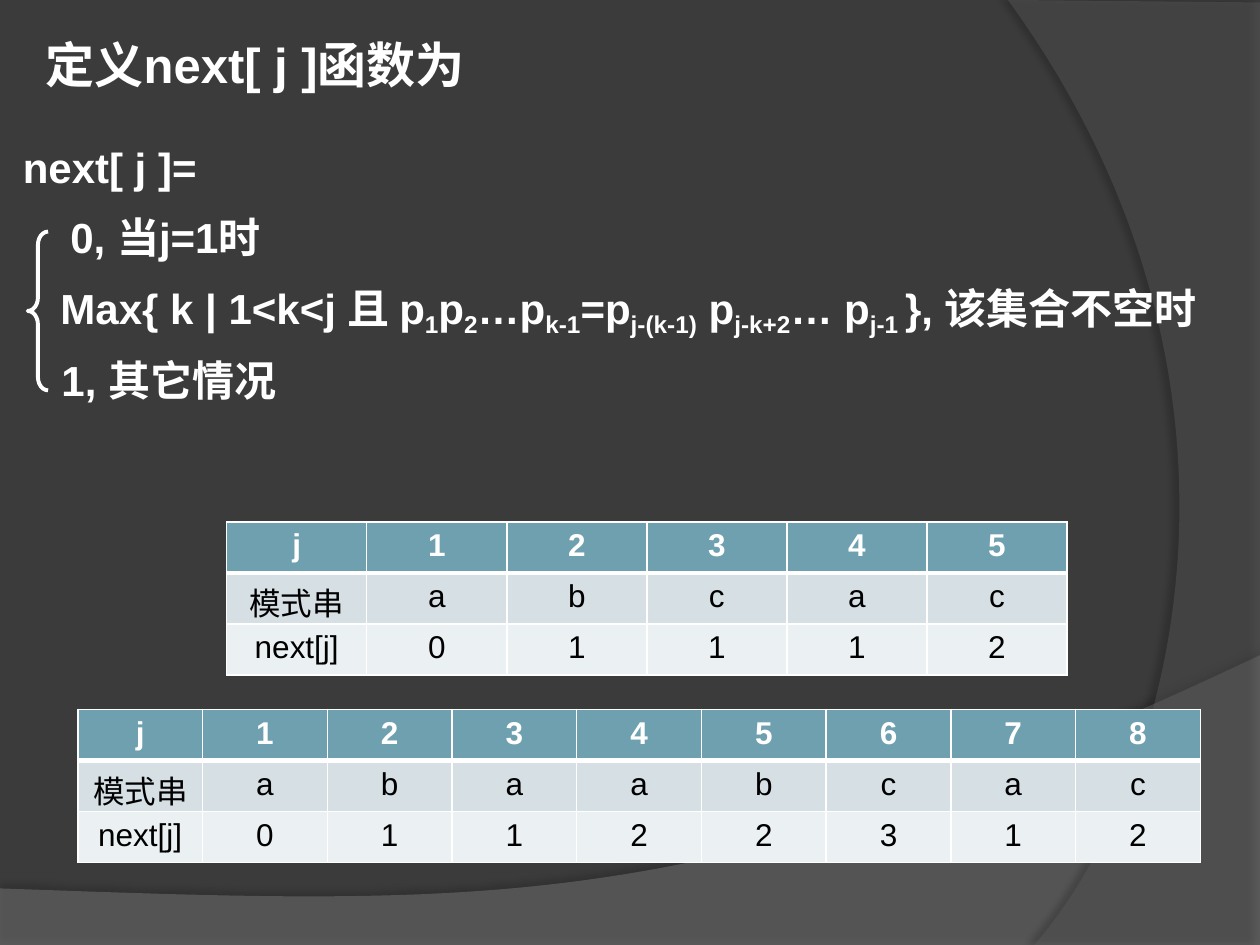
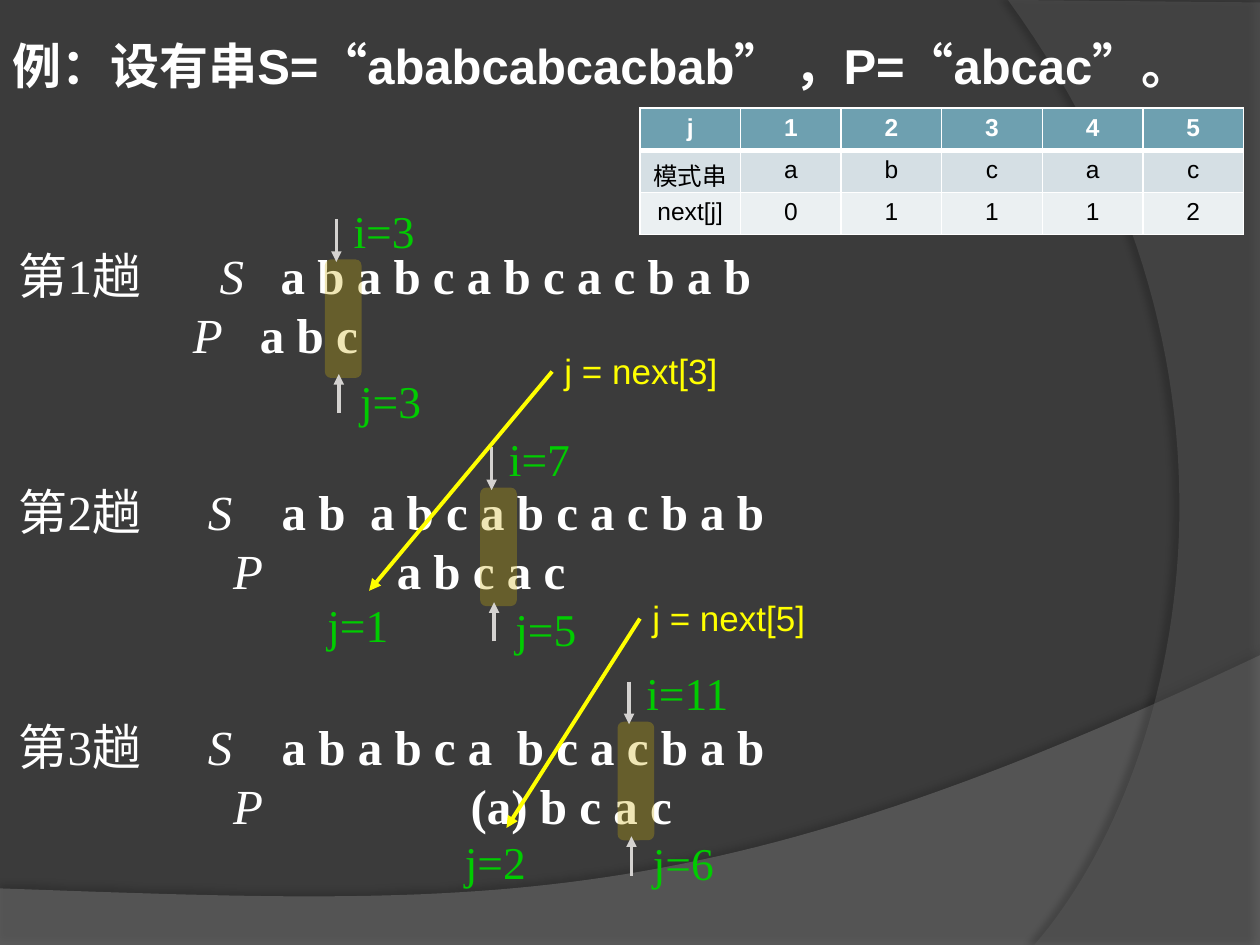
from dataclasses import dataclass

from lxml.etree import SubElement
from pptx import Presentation
from pptx.dml.color import RGBColor
from pptx.enum.lang import MSO_LANGUAGE_ID
from pptx.enum.shapes import MSO_CONNECTOR, MSO_SHAPE
from pptx.enum.text import MSO_ANCHOR, MSO_AUTO_SIZE, PP_ALIGN
from pptx.oxml.ns import qn
from pptx.util import Cm, Pt


@dataclass(frozen=True)
class Theme:
    background: str = "3B3B3B"
    wave: str = "7F7F7F"
    sweep: str = "5E5E5E"
    text: str = "FFFFFF"
    cell_text: str = "000000"
    rows: tuple = ("6EA0B0", "D5DFE4", "EBF0F2")
    highlight: str = "CCAF0A"
    pointer: str = "D4D2D0"
    index: str = "00CC00"
    jump: str = "FFFF00"
    sans: str = "Arial"
    serif: str = "Times New Roman"
    title_size: int = 28
    formula_size: int = 24
    index_size: int = 26
    jump_size: int = 20


theme = Theme()


def write(paragraph, text, size, color=theme.text, font=theme.sans,
          bold=False, italic=False, align=PP_ALIGN.LEFT):
    """Add text to a paragraph; parts between underscores are subscripts."""
    paragraph.alignment = align
    for number, part in enumerate(text.split("_")):
        run = paragraph.add_run()
        run.text = part
        run.font.size, run.font.name = Pt(size), font
        run.font.bold, run.font.italic = bold, italic
        run.font.color.rgb = RGBColor.from_string(color)
        run.font.language_id = MSO_LANGUAGE_ID.SIMPLIFIED_CHINESE
        if number % 2:
            run.font._element.set("baseline", "-20000")


def paint(shape, color, opacity):
    """Give a shape a translucent fill with no line and no shadow."""
    shape.fill.solid()
    shape.fill.fore_color.rgb = RGBColor.from_string(color)
    shape.line.fill.background()
    shape.shadow.inherit = False
    fill_color = shape.element.spPr.find(".//" + qn("a:srgbClr"))
    SubElement(fill_color, qn("a:alpha"), val=str(opacity * 1000))


prs = Presentation()
prs.slide_width, prs.slide_height = Cm(25.4), Cm(19.05)
layout = prs.slide_layouts[5]
definition = prs.slides.add_slide(layout)
example = prs.slides.add_slide(layout)

# Shared backdrop: a wave and a sweep, kept on the layout
master_fill = prs.slide_master.background.fill
master_fill.solid()
master_fill.fore_color.rgb = RGBColor.from_string(theme.background)
backdrop = [
    ([(0, 19.05), (25.4, 19.05)],
     [(25.4, 13.21), (14.2, 18.52), (9.93, 18.26), (0, 17.91)],
     theme.wave, 45, 35, 3.5, 270),
    ([(25.4, 0.05), (25.4, 19.05)],
     [(20.85, 19.05), (23.75, 15.72), (25.86, 7.62), (20.32, 0)],
     theme.sweep, 40, 45, 4, 180),
]
for place, (corners, curve, color, opacity, shade, distance, angle) in enumerate(backdrop):
    outline = list(corners)
    for step in range(61):
        t = step / 60
        weights = ((1 - t) ** 3, 3 * t * (1 - t) ** 2, 3 * t ** 2 * (1 - t), t ** 3)
        outline.append(tuple(sum(w * p[axis] for w, p in zip(weights, curve))
                             for axis in (0, 1)))
    points = [(Cm(x), Cm(y)) for x, y in outline]
    builder = definition.shapes.build_freeform(*points[0])
    builder.add_line_segments(points[1:], close=True)
    band = builder.convert_to_shape()
    paint(band, color, opacity)
    shadow = SubElement(band.element.spPr.find(qn("a:effectLst")), qn("a:outerShdw"),
                        blurRad=str(Pt(4)), dist=str(Pt(distance)),
                        dir=str(angle * 60000), algn="ctr", rotWithShape="0")
    shadow_color = SubElement(shadow, qn("a:srgbClr"), val="000000")
    SubElement(shadow_color, qn("a:alpha"), val=str(shade * 1000))
    layout.shapes.element.insert(2 + place, band.element)

# Titles
titles = [
    (definition, "定义next[ j ]函数为", 0.67, 0.58, 22, 1.4, MSO_ANCHOR.MIDDLE),
    (example, "例：设有串S=“ababcabcacbab” ，P=“abcac”。",
     0, 0.58, 25, 1.45, MSO_ANCHOR.TOP),
]
for slide, text, left, top, width, height, anchor in titles:
    title = slide.shapes.title
    title.left, title.top, title.width, title.height = map(Cm, (left, top, width, height))
    frame = title.text_frame
    frame.word_wrap, frame.auto_size = True, MSO_AUTO_SIZE.NONE
    frame.vertical_anchor = anchor
    write(frame.paragraphs[0], text, theme.title_size, bold=True)

# Definition: the brace and its cases
brace = definition.shapes.add_shape(MSO_SHAPE.LEFT_BRACE, Cm(0.56), Cm(4.67), Cm(0.41), Cm(3.2))
brace.adjustments[0], brace.adjustments[1] = 0.66, 0.5
brace.fill.background()
brace.line.color.rgb = RGBColor.from_string(theme.text)
brace.line.width = Pt(2.25)
brace.shadow.inherit = False

cases = [
    ("next[ j ]=", 0.46, 2.77),
    ("0, 当j=1时", 1.42, 4.17),
    ("Max{ k | 1<k<j 且 p_1_p_2_…p_k-1_=p_j-(k-1)_ p_j-k+2_… p_j-1 _}, 该集合不空时",
     1.22, 5.66),
    ("1, 其它情况", 1.24, 7.06),
]
for text, left, top in cases:
    frame = definition.shapes.add_textbox(
        Cm(left), Cm(top), Cm(25.3 - left), Cm(1.19)).text_frame
    frame.word_wrap = True
    frame.vertical_anchor = MSO_ANCHOR.MIDDLE
    frame.margin_left = frame.margin_right = 0
    write(frame.paragraphs[0], text, theme.formula_size, bold=True)

# Example: matching passes, each row a list of (tab stop, text, style)
plain, italic, bold = {}, {"italic": True}, {"bold": True}
passes = [
    ([(0, "第1趟", plain), (4.05, "S", italic), (5.28, "a b a b c a b c a c b a b", bold)],
     [(3.51, "P", italic), (4.86, "a b c", bold)]),
    ([(0, "第2趟", plain), (3.81, "S", italic), (5.3, "a b", bold),
      (7.08, "a b c a b c a c b a b", bold)],
     [(4.32, "P", italic), (7.62, "a b c a c", bold)]),
    ([(0, "第3趟", plain), (3.81, "S", italic), (5.3, "a b a b c a", bold),
      (10.04, "b c a c b a b", bold)],
     [(4.32, "P", italic), (9.11, "(a) b c a c", bold)]),
]
line_height = 33.65
trace = example.shapes.add_textbox(Cm(0), Cm(4.83), Cm(24.61), Cm(13.82)).text_frame
trace.word_wrap = True
trace.margin_left = Cm(0.38)
for pass_number, rows in enumerate(passes):
    for row_number, row in enumerate(rows):
        first = pass_number == row_number == 0
        paragraph = trace.paragraphs[0] if first else trace.add_paragraph()
        paragraph.line_spacing = Pt(line_height)
        opens_pass = pass_number and not row_number
        paragraph.space_before = Pt(2 * line_height if opens_pass else 0)
        tabs = SubElement(paragraph._p.get_or_add_pPr(), qn("a:tabLst"))
        for stop, text, style in row:
            if stop:
                SubElement(tabs, qn("a:tab"), pos=str(Cm(stop)), algn="l")
                text = "\t" + text
            write(paragraph, text, theme.title_size, font=theme.serif, **style)

# Example: compared characters with their i and j pointers
index_style = {"size": theme.index_size, "color": theme.index, "font": theme.serif}
jump_style = {"size": theme.jump_size, "color": theme.jump}
labels = [
    (example, "j = next[3]", 11.13, 6.93, 4.78, jump_style),
    (example, "j=1", 6.35, 11.91, 2.16, index_style),
    (example, "j = next[5]", 12.9, 11.91, 4.78, jump_style),
    (example, "j=2", 9.12, 16.69, 2.16, index_style),
]
arrows = []
for i, j, left, top in [(3, 3, 6.55, 5.23), (7, 5, 9.68, 9.83), (11, 6, 12.45, 14.55)]:
    comparison = example.shapes.add_group_shape()
    highlight = comparison.shapes.add_shape(
        MSO_SHAPE.ROUNDED_RECTANGLE, Cm(left), Cm(top), Cm(0.74), Cm(2.39))
    paint(highlight, theme.highlight, 30)
    labels += [
        (comparison, f"i={i}", left + 0.33, top - 1.27, 2.24, index_style),
        (comparison, f"j={j}", left + 0.46, top + 2.16, 2.16, index_style),
    ]
    arrows += [
        (comparison, left + 0.23, top - 0.81, left + 0.23, top + 0.05, theme.pointer, 2),
        (comparison, left + 0.28, top + 3.1, left + 0.28, top + 2.31, theme.pointer, 2),
    ]
arrows += [
    (example, 12.9, 12.47, 10.21, 16.69, theme.jump, 2.25),
    (example, 11.13, 7.49, 7.44, 11.91, theme.jump, 2.25),
]
for parent, text, left, top, width, style in labels:
    frame = parent.shapes.add_textbox(Cm(left), Cm(top), Cm(width), Cm(1.35)).text_frame
    frame.word_wrap = True
    write(frame.paragraphs[0], text, **style)
for parent, x1, y1, x2, y2, color, weight in arrows:
    arrow = parent.shapes.add_connector(
        MSO_CONNECTOR.STRAIGHT, Cm(x1), Cm(y1), Cm(x2), Cm(y2))
    arrow.line.color.rgb = RGBColor.from_string(color)
    arrow.line.width = Pt(weight)
    SubElement(arrow.line._get_or_add_ln(), qn("a:tailEnd"), type="triangle")
    SubElement(arrow.element.spPr, qn("a:effectLst"))

# Tables of next[j] for each pattern string
next_tables = [
    (definition, "abcac", "01112", 4.57, 10.52, 16.94, 1.03, 18),
    (definition, "abaabcac", "01122312", 1.57, 14.3, 22.63, 1.03, 18),
    (example, "abcac", "01112", 12.9, 2.18, 12.17, 0.84, 14),
]
for slide, pattern, values, left, top, width, row_height, size in next_tables:
    grid = [["j", *map(str, range(1, len(pattern) + 1))],
            ["模式串", *pattern],
            ["next[j]", *values]]
    next_table = slide.shapes.add_table(
        3, len(grid[0]), Cm(left), Cm(top), Cm(width), Cm(3 * row_height)).table
    for r, row in enumerate(grid):
        for c, text in enumerate(row):
            cell = next_table.cell(r, c)
            cell.fill.solid()
            cell.fill.fore_color.rgb = RGBColor.from_string(theme.rows[r])
            write(cell.text_frame.paragraphs[0], text, size, bold=r == 0,
                  color=theme.cell_text if r else theme.text, align=PP_ALIGN.CENTER)
            properties = cell._tc.get_or_add_tcPr()
            for place, side in enumerate("LRTB"):
                under_header = (r, side) in ((0, "B"), (1, "T"))
                border = SubElement(properties, qn("a:ln" + side),
                                    w=str(Pt(3 if under_header else 1)))
                SubElement(SubElement(border, qn("a:solidFill")),
                           qn("a:srgbClr"), val=theme.text)
                properties.insert(place, border)

prs.save("out.pptx")
